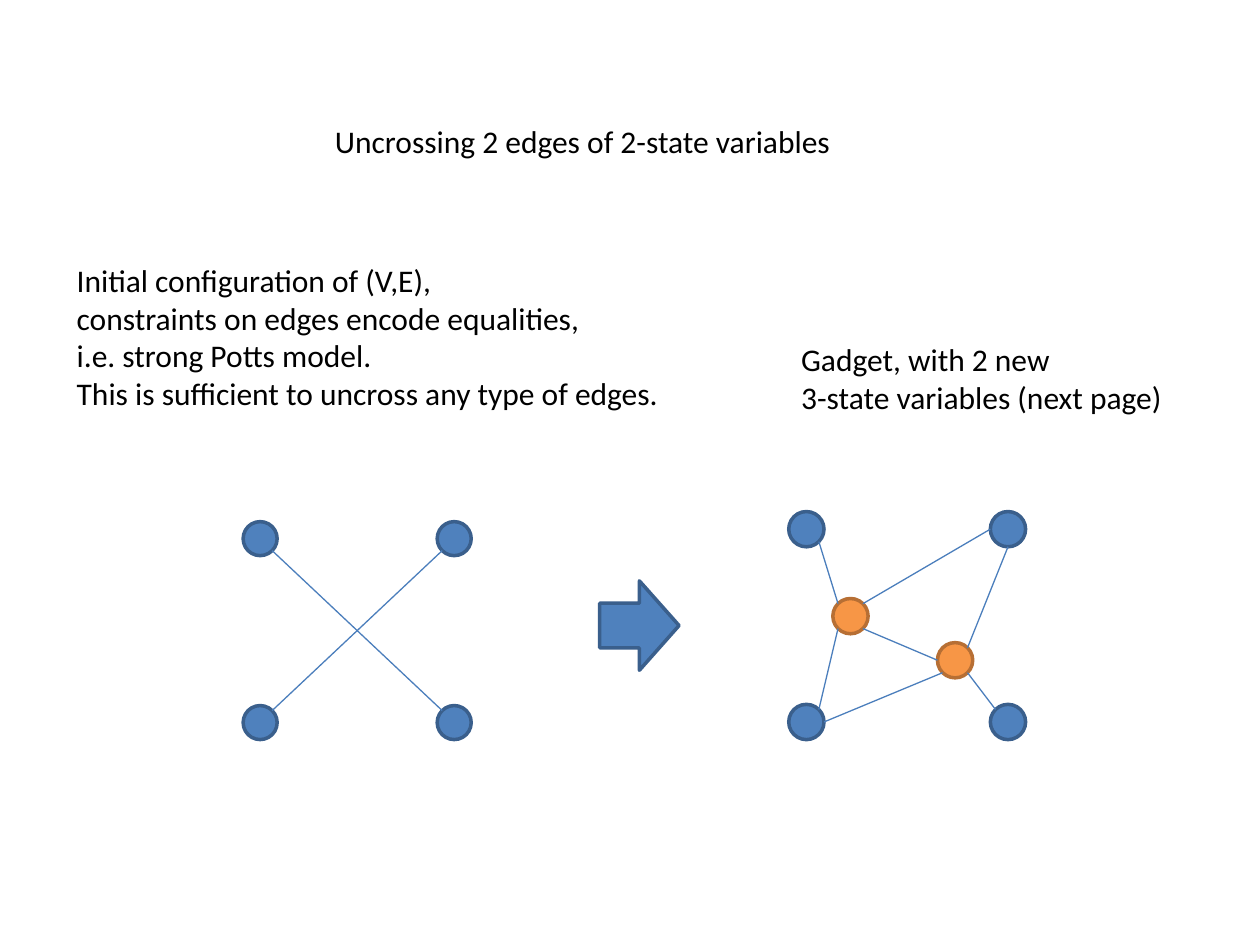
from dataclasses import dataclass
from math import sqrt

from lxml.etree import SubElement
from pptx import Presentation
from pptx.dml.color import RGBColor
from pptx.enum.shapes import MSO_CONNECTOR as Link, MSO_SHAPE as Preset
from pptx.enum.text import MSO_AUTO_SIZE as AutoSize
from pptx.oxml.ns import qn
from pptx.util import Inches, Pt

BLUE, BLUE_RIM = "4F81BD", "3A5F8C"
ORANGE, ORANGE_RIM = "F79646", "B76F34"
EDGE_COLOUR = "4B7EBC"
DIAGONAL = 1 / sqrt(2)
COMPASS = {
    "N": (0, -1), "S": (0, 1), "W": (-1, 0), "E": (1, 0),
    "NW": (-DIAGONAL, -DIAGONAL), "NE": (DIAGONAL, -DIAGONAL),
    "SW": (-DIAGONAL, DIAGONAL), "SE": (DIAGONAL, DIAGONAL),
}
CAPTION_FRAME = {"word_wrap": False, "auto_size": AutoSize.SHAPE_TO_FIT_TEXT}


def colour(value: str) -> RGBColor:
    return RGBColor.from_string(value)


CAPTION_FONT = {"name": "Calibri", "size": Pt(18)}


@dataclass(frozen=True)
class Node:
    left: float
    top: float
    size: float
    fill: str = BLUE
    rim: str = BLUE_RIM

    def site(self, direction: str) -> tuple[float, float]:
        """Point on the rim in a compass direction."""
        radius = self.size / 2
        dx, dy = COMPASS[direction]
        return self.left + radius * (1 + dx), self.top + radius * (1 + dy)


@dataclass(frozen=True)
class Edge:
    start: str
    leaving: str
    end: str
    entering: str


@dataclass(frozen=True)
class Caption:
    left: float
    top: float
    width: float
    height: float
    paragraphs: tuple[str, ...]


def corners(xs: tuple, ys: tuple, size: float) -> dict[str, Node]:
    return {row + column: Node(x, y, size)
            for row, y in zip("NS", ys) for column, x in zip("WE", xs)}


def draw_preset(shapes, preset, box: tuple, fill: str, rim: str) -> None:
    shape = shapes.add_shape(preset, *map(Inches, box))
    shape.shadow.inherit = False
    shape.fill.solid()
    shape.fill.fore_color.rgb = colour(fill)
    shape.line.color.rgb = colour(rim)
    shape.line.width = Pt(2)


def draw_edge(shapes, nodes: dict[str, Node], edge: Edge) -> None:
    ends = nodes[edge.start].site(edge.leaving) + nodes[edge.end].site(edge.entering)
    line = shapes.add_connector(Link.STRAIGHT, *map(Inches, ends))
    line.line.color.rgb = colour(EDGE_COLOUR)
    line.line.width = Pt(0.75)
    SubElement(line._element.spPr, qn("a:effectLst"))


def draw_graph(shapes, nodes: dict[str, Node], edges: list[Edge]) -> None:
    for node in nodes.values():
        box = (node.left, node.top, node.size, node.size)
        draw_preset(shapes, Preset.OVAL, box, node.fill, node.rim)
    for edge in edges:
        draw_edge(shapes, nodes, edge)


def draw_caption(shapes, caption: Caption) -> None:
    box = (caption.left, caption.top, caption.width, caption.height)
    frame = shapes.add_textbox(*map(Inches, box)).text_frame
    for attribute, value in CAPTION_FRAME.items():
        setattr(frame, attribute, value)
    for index, text in enumerate(caption.paragraphs):
        paragraph = frame.add_paragraph() if index else frame.paragraphs[0]
        paragraph.text = text
        for run in paragraph.runs:
            for attribute, value in CAPTION_FONT.items():
                setattr(run.font, attribute, value)
            run.font.color.rgb = colour("000000")


# Gadget: four outer variables and two new ones
GADGET_NODES = corners((6.26, 7.86), (4.06, 5.59), 0.28) | {
    "left": Node(6.61, 4.75, 0.28, ORANGE, ORANGE_RIM),
    "right": Node(7.44, 5.1, 0.28, ORANGE, ORANGE_RIM),
}
GADGET_EDGES = [
    Edge("NW", "SE", "left", "NW"),
    Edge("left", "SE", "right", "W"),
    Edge("SW", "NE", "left", "SW"),
    Edge("SW", "E", "right", "SW"),
    Edge("right", "NE", "NE", "S"),
    Edge("left", "NE", "NE", "W"),
    Edge("right", "SE", "SE", "NW"),
]

# Initial configuration: two crossing edges
CROSSING_NODES = corners((1.93, 3.47), (4.14, 5.6), 0.27)
CROSSING_EDGES = [Edge("NW", "SE", "SE", "NW"), Edge("NE", "SW", "SW", "NE")]

CAPTIONS = [
    Caption(2.56, 0.92, 4.18, 0.4, ("Uncrossing 2 edges of 2-state variables",)),
    Caption(0.51, 2.02, 4.88, 1.31, (
        "Initial configuration of (V,E), \nconstraints on edges encode equalities,",
        "i.e. strong Potts model.",
        "This is sufficient to uncross any type of edges.",
    )),
    Caption(6.26, 2.65, 3.1, 0.71,
            ("Gadget, with 2 new \n3-state variables (next page)",)),
]


def main() -> None:
    deck = Presentation()
    deck.slide_width, deck.slide_height = Inches(10), Inches(7.5)
    shapes = deck.slides.add_slide(deck.slide_layouts[6]).shapes

    # Graphs and the arrow between them
    draw_graph(shapes, GADGET_NODES, GADGET_EDGES)
    draw_graph(shapes.add_group_shape().shapes, CROSSING_NODES, CROSSING_EDGES)
    draw_preset(shapes, Preset.RIGHT_ARROW, (4.76, 4.61, 0.63, 0.71), BLUE, BLUE_RIM)

    # Title and captions
    for caption in CAPTIONS:
        draw_caption(shapes, caption)

    deck.save("out.pptx")


if __name__ == "__main__":
    main()
